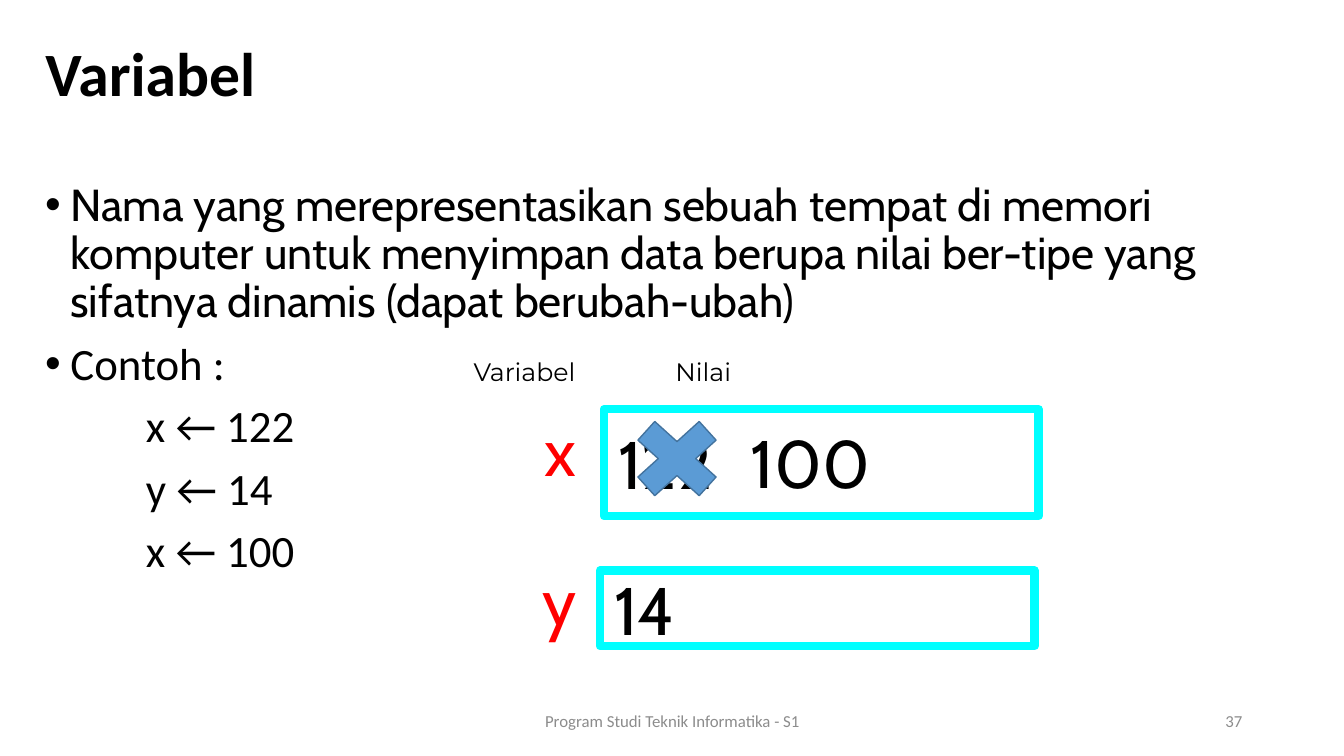
from lxml import etree
from pptx import Presentation
from pptx.dml.color import RGBColor
from pptx.enum import shapes, text
from pptx.oxml import ns
from pptx.util import Inches, Pt

BLACK = RGBColor(0x00, 0x00, 0x00)
RED = RGBColor(0xFF, 0x00, 0x00)
CYAN = RGBColor(0x00, 0xFF, 0xFF)
BLUE = RGBColor(0x5B, 0x9B, 0xD5)
DARK_BLUE = RGBColor(0x43, 0x73, 0x9E)
GRAY = RGBColor(0x8C, 0x8C, 0x8C)

LEFT, CENTER, RIGHT = text.PP_ALIGN.LEFT, text.PP_ALIGN.CENTER, text.PP_ALIGN.RIGHT
TOP, MIDDLE = text.MSO_ANCHOR.TOP, text.MSO_ANCHOR.MIDDLE

TITLE = "Variabel"
BULLETS = [
    ("Nama yang merepresentasikan sebuah tempat di memori komputer untuk menyimpan "
     "data berupa nilai ber-tipe yang sifatnya dinamis (dapat berubah-ubah)", "Cabin"),
    ("Contoh :", "Calibri"),
]
ASSIGNMENTS = ["x ← 122", "y ← 14", "x ← 100"]
MEMORY_CELLS = [
    ("122", (5.99, 4.06, 4.31, 1.06)),
    ("14", (5.95, 5.66, 4.31, 0.75)),
]
VARIABLE_NAMES = [
    ("x", (5.37, 4.1, 0.38, 0.72)),
    ("y", (5.37, 5.59, 0.35, 0.72)),
]
CROSS = (6.13, 4.02, 1.17, 1.06)
NEW_VALUE = ("100", (7.35, 4.13, 1.4, 0.91))
HEADINGS = ("Variabel\tNilai", (4.6, 3.49, 5.92, 0.4))
FOOTERS = [
    ("Program Studi Teknik Informatika - S1", (4.42, 6.95, 4.5, 0.4), CENTER),
    ("37", (9.42, 6.95, 3, 0.4), RIGHT),
]


def style(para, size, font, color, align=LEFT, bold=False):
    """Format a paragraph and its runs."""
    para.alignment = align
    for span in para.runs:
        span.font.size = Pt(size)
        span.font.name = font
        span.font.color.rgb = color
        span.font.bold = bold


def add_text(page, words, at, size, font, color, align=LEFT, anchor=TOP):
    """Add a wrapping one-paragraph text box."""
    box = page.shapes.add_textbox(*map(Inches, at))
    frame = box.text_frame
    frame.word_wrap = True
    frame.vertical_anchor = anchor
    frame.text = words
    style(frame.paragraphs[0], size, font, color, align)
    return box


def add_preset(page, kind, at, line_color, line_width, fill=None):
    """Add an outlined preset shape, filled if a colour is given."""
    shape = page.shapes.add_shape(kind, *map(Inches, at))
    shape.shadow.inherit = False
    if fill is None:
        shape.fill.background()
    else:
        shape.fill.solid()
        shape.fill.fore_color.rgb = fill
    shape.line.color.rgb = line_color
    shape.line.width = Pt(line_width)
    return shape


def set_insets(frame, left=0):
    """Clear the frame's margins except for the given left inset."""
    frame.margin_left = Inches(left)
    frame.margin_top = frame.margin_right = frame.margin_bottom = 0


def add_body(page):
    """Add the bulleted definition and the indented assignments."""
    box = page.shapes.add_textbox(*map(Inches, (0.35, 1.76, 12.66, 5.05)))
    frame = box.text_frame
    frame.word_wrap = True
    lines = [(words, font, True) for words, font in BULLETS]
    lines += [(words, "Calibri", False) for words in ASSIGNMENTS]
    frame.text = "\n".join(words for words, _, _ in lines)
    for para, (_, font, bulleted) in zip(frame.paragraphs, lines):
        style(para, 32, font, BLACK)
        para.line_spacing = 0.9
        para.space_before = Pt(10)
        props = para._p.get_or_add_pPr()
        props.set("marL", str(Inches(0.25 if bulleted else 1)))
        props.set("indent", str(Inches(-0.25 if bulleted else 0)))
        if bulleted:
            etree.SubElement(props, ns.qn("a:buFont")).set("typeface", "Arial")
            etree.SubElement(props, ns.qn("a:buChar")).set("char", "•")


def add_title(page):
    """Place and format the title placeholder."""
    title = page.shapes.title
    title.left, title.top, title.width, title.height = map(Inches, (0.35, 0.15, 10.98, 1.21))
    title.text_frame.text = TITLE
    title.text_frame.vertical_anchor = MIDDLE
    para = title.text_frame.paragraphs[0]
    style(para, 44, "Calibri", BLACK, bold=True)
    para.line_spacing = 0.9


def main():
    """Build the slide about variables."""
    deck = Presentation()
    deck.slide_width, deck.slide_height = Inches(13.33), Inches(7.5)
    page = deck.slides.add_slide(deck.slide_layouts[5])
    add_title(page)
    add_body(page)

    for (value, cell_at), (name, name_at) in zip(MEMORY_CELLS, VARIABLE_NAMES):
        cell = add_preset(page, shapes.MSO_SHAPE.RECTANGLE, cell_at, CYAN, 6)
        frame = cell.text_frame
        set_insets(frame, 0.14)
        frame.vertical_anchor = MIDDLE
        frame.text = value
        style(frame.paragraphs[0], 48, "Cabin", BLACK)
        label = add_text(page, name, name_at, 48, "Cabin", RED, CENTER, MIDDLE)
        set_insets(label.text_frame)

    add_preset(page, shapes.MSO_SHAPE.MATH_MULTIPLY, CROSS, DARK_BLUE, 1, BLUE)
    new_value = add_text(page, *NEW_VALUE, 48, "Cabin", BLACK)
    new_value.text_frame.word_wrap = False

    headings = add_text(page, *HEADINGS, 18, "Montserrat", BLACK)
    props = headings.text_frame.paragraphs[0]._p.get_or_add_pPr()
    stop = etree.SubElement(etree.SubElement(props, ns.qn("a:tabLst")), ns.qn("a:tab"))
    stop.set("pos", str(Inches(2)))
    stop.set("algn", "l")

    for words, at, align in FOOTERS:
        add_text(page, words, at, 12, "Calibri", GRAY, align, MIDDLE)
    deck.save("out.pptx")


if __name__ == "__main__":
    main()
